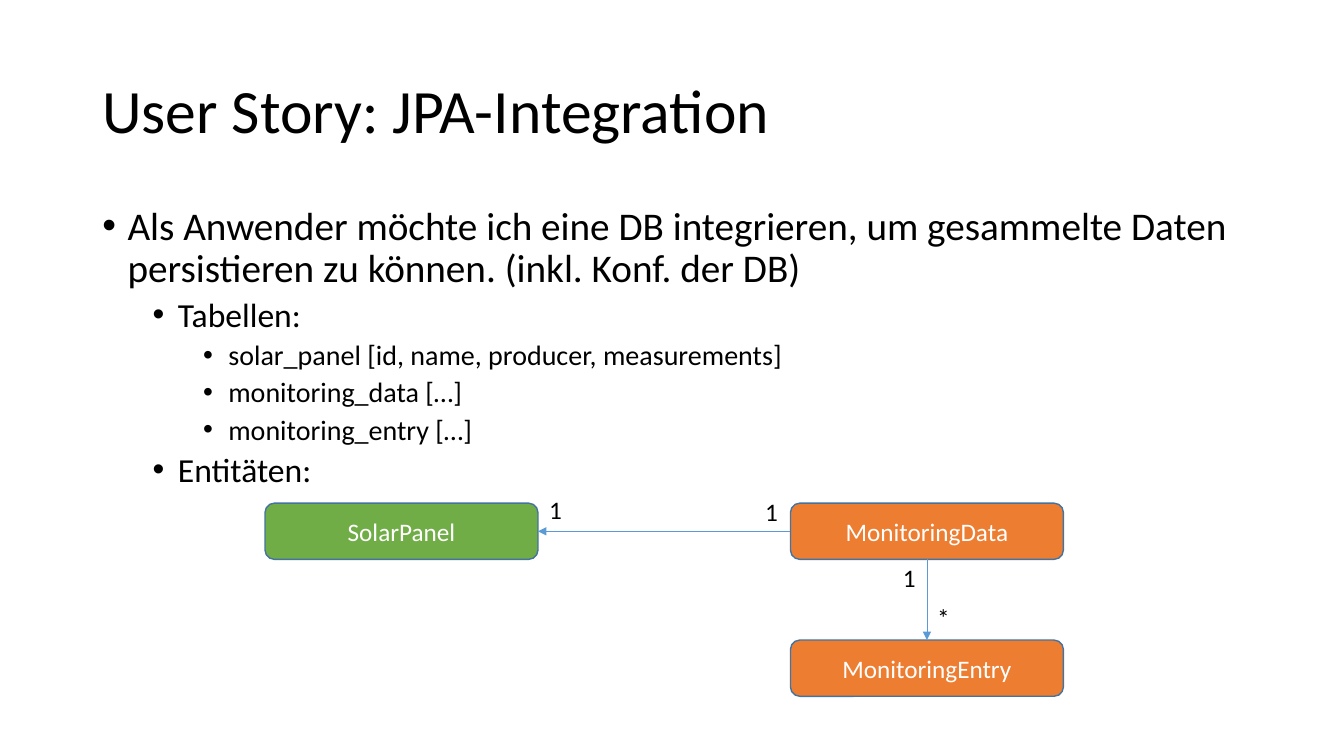
from pptx import Presentation
from pptx.dml.color import RGBColor as RGB
from pptx.enum.shapes import MSO_CONNECTOR as Link, MSO_SHAPE as Form
from pptx.enum.text import MSO_ANCHOR as Anchor, MSO_AUTO_SIZE as Auto, PP_ALIGN as Align
from pptx.oxml.ns import qn
from pptx.util import Inches, Pt
from lxml.etree import SubElement as Sub

FONT = "Calibri"
HUES = {
    "ink": "000000",
    "white": "FFFFFF",
    "green": "70AD47",
    "orange": "ED7D31",
    "edge": "43739E",
    "arrow": "5B9BD5",
}
COLS, ROWS = 32, 18
WIDE, HIGH = Inches(13.33), Inches(7.5)
LEVELS = [(28, 10), (24, 5), (20, 5)]
STORY = [
    (0, "Als Anwender möchte ich eine DB integrieren, um gesammelte Daten "
        "persistieren zu können. (inkl. Konf. der DB)"),
    (1, "Tabellen:"),
    (2, "solar_panel [id, name, producer, measurements]"),
    (2, "monitoring_data […]"),
    (2, "monitoring_entry […]"),
    (1, "Entitäten:"),
]
MARKS = [("1", 12.84, 11.66), ("1", 17.98, 11.69), ("1", 21.26, 13.27), ("*", 22.08, 14.23)]


def hue(name):
    return RGB.from_string(HUES[name])


def write(frame, text, size=18, color="ink", align=None, lead=None, gap=None, level=None):
    para = frame.paragraphs[0]
    if para.runs:
        para = frame.add_paragraph()
    run = para.add_run()
    run.text = text
    run.font.name, run.font.size = FONT, Pt(size)
    run.font.color.rgb = hue(color)
    para.alignment, para.line_spacing = align, lead
    if gap is not None:
        para.space_before = Pt(gap)
    if level is not None:
        para.level = level
        props = para._p.get_or_add_pPr()
        props.set("marL", str(Inches(0.25 + 0.5 * level)))
        props.set("indent", str(-Inches(0.25)))
        Sub(props, qn("a:buFont"), typeface="Arial")
        Sub(props, qn("a:buChar"), char="•")


class Page:
    def __init__(self, deck):
        self.slide = deck.slides.add_slide(deck.slide_layouts[6])
        self.shapes = self.slide.shapes

    def place(self, col, row, cols, rows):
        return (round(col * WIDE / COLS), round(row * HIGH / ROWS),
                round(cols * WIDE / COLS), round(rows * HIGH / ROWS))

    def text(self, *area, wrap=True, anchor=Anchor.TOP):
        frame = self.shapes.add_textbox(*self.place(*area)).text_frame
        frame.word_wrap, frame.vertical_anchor = wrap, anchor
        return frame

    def label(self, text, col, row):
        frame = self.text(col, row, 0.8, 0.96, wrap=False)
        frame.auto_size = Auto.SHAPE_TO_FIT_TEXT
        write(frame, text)

    def box(self, text, col, row, fill):
        box = self.shapes.add_shape(Form.ROUNDED_RECTANGLE, *self.place(col, row, 6.5, 1.34))
        box.shadow.inherit = False
        box.fill.solid()
        box.fill.fore_color.rgb = hue(fill)
        box.line.color.rgb, box.line.width = hue("edge"), Pt(1)
        box.text_frame.vertical_anchor = Anchor.MIDDLE
        write(box.text_frame, text, color="white", align=Align.CENTER)
        return box

    def arrow(self, start, out, end, into):
        line = self.shapes.add_connector(Link.STRAIGHT, 0, 0, 0, 0)
        line.begin_connect(start, out)
        line.end_connect(end, into)
        line.line.color.rgb, line.line.width = hue("arrow"), Pt(0.5)
        Sub(line.line._get_or_add_ln(), qn("a:tailEnd"), type="triangle")
        Sub(line._element.spPr, qn("a:effectLst"))


def main():
    deck = Presentation()
    deck.slide_width, deck.slide_height = WIDE, HIGH
    page = Page(deck)

    title = page.text(2.2, 0.96, 27.6, 3.48, anchor=Anchor.MIDDLE)
    write(title, "User Story: JPA-Integration", size=44, lead=0.9)

    body = page.text(2.2, 4.8, 27.6, 11.42)
    for level, text in STORY:
        size, gap = LEVELS[level]
        write(body, text, size=size, lead=0.9, gap=gap, level=level)

    panel = page.box("SolarPanel", 6.31, 11.98, "green")
    data = page.box("MonitoringData", 18.82, 11.98, "orange")
    entry = page.box("MonitoringEntry", 18.82, 15.24, "orange")
    page.arrow(data, 1, panel, 3)
    page.arrow(data, 2, entry, 0)
    for mark in MARKS:
        page.label(*mark)

    deck.save("out.pptx")


if __name__ == "__main__":
    main()
